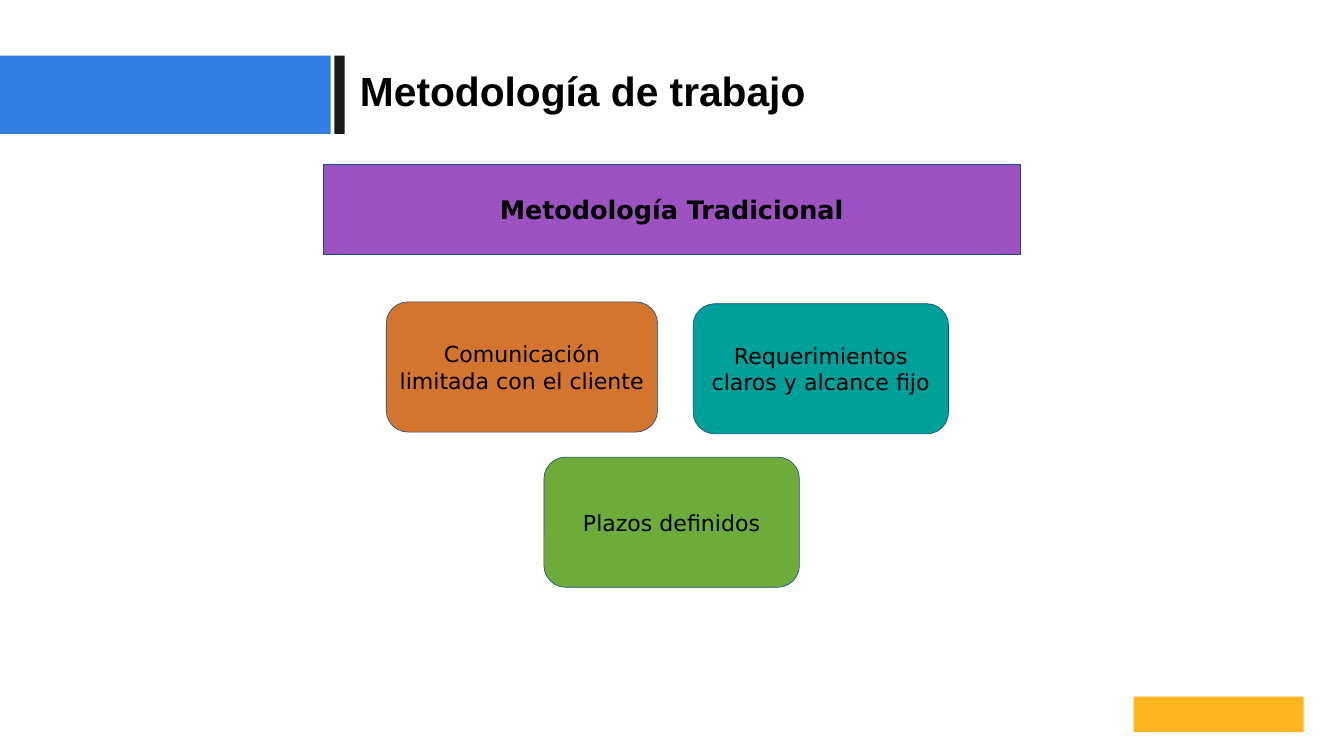
"""Build the slide on the traditional work methodology."""
import pptx
import pptx.util
from pptx.dml.color import RGBColor
from pptx.enum.shapes import MSO_SHAPE
from pptx.enum.text import MSO_ANCHOR, MSO_AUTO_SIZE, PP_ALIGN

Inches = pptx.util.Inches
Pt = pptx.util.Pt

SLIDE_SIZE = (21.99, 12.37)
TITLE = "Metodología de trabajo"
TITLE_BOX = (5.89, 1.07, 13.22, 0.81)
TITLE_FONT = {"name": "Arial", "size": Pt(48), "bold": True}
HEADING_FONT = {"name": "DejaVu Sans", "size": Pt(30), "bold": True}
CARD_FONT = {"name": "DejaVu Sans", "size": Pt(26), "bold": False}
BLACK = "000000"
OUTLINE = "1F497D"
CARD_HEIGHT = 2.13

DECORATIONS = [
    ((0, 0.91, 5.41, 1.28), "317DE2"),
    ((5.47, 0.91, 0.17, 1.28), "1A1A1A"),
    ((18.55, 11.4, 2.78, 0.58), "FEB620"),
]
HEADING = ("Metodología Tradicional", (5.29, 2.69, 11.4, 1.47), "9C52C1")
CARDS = [
    ("Comunicación limitada con el cliente", (6.32, 4.94, 4.44, CARD_HEIGHT), "D3752E"),
    ("Requerimientos claros y alcance fijo", (11.34, 4.97, 4.18, CARD_HEIGHT), "009F9A"),
    ("Plazos definidos", (8.9, 7.48, 4.18, CARD_HEIGHT), "6DAC3B"),
]


def color(value):
    return RGBColor.from_string(value)


def set_values(target, values):
    for name, value in values.items():
        setattr(target, name, value)


def write_text(shape, text, font, alignment, anchor, margin):
    frame = shape.text_frame
    frame.text = text
    set_values(frame, {
        "word_wrap": True,
        "auto_size": MSO_AUTO_SIZE.NONE,
        "vertical_anchor": anchor,
        "margin_left": Inches(margin),
        "margin_right": Inches(margin),
        "margin_top": Inches(margin),
        "margin_bottom": Inches(margin),
    })
    paragraph = frame.paragraphs[0]
    paragraph.alignment = alignment
    run_font = paragraph.runs[0].font
    set_values(run_font, font)
    run_font.color.rgb = color(BLACK)


def add_block(slide, kind, box, fill):
    shape = slide.shapes.add_shape(kind, *map(Inches, box))
    shape.shadow.inherit = False
    shape.fill.solid()
    shape.fill.fore_color.rgb = color(fill)
    shape.line.fill.background()
    return shape


def add_label(slide, kind, text, box, fill, font):
    shape = add_block(slide, kind, box, fill)
    shape.line.color.rgb = color(OUTLINE)
    shape.line.width = Pt(0.75)
    write_text(shape, text, font, PP_ALIGN.CENTER, MSO_ANCHOR.MIDDLE, 0.1)


def main():
    presentation = pptx.Presentation()
    presentation.slide_width, presentation.slide_height = map(Inches, SLIDE_SIZE)
    slide = presentation.slides.add_slide(presentation.slide_layouts[5])

    title = slide.shapes.title
    set_values(title, dict(zip(("left", "top", "width", "height"), map(Inches, TITLE_BOX))))
    write_text(title, TITLE, TITLE_FONT, PP_ALIGN.LEFT, MSO_ANCHOR.TOP, 0)

    for box, fill in DECORATIONS:
        add_block(slide, MSO_SHAPE.RECTANGLE, box, fill)
    add_label(slide, MSO_SHAPE.RECTANGLE, *HEADING, HEADING_FONT)
    for card in CARDS:
        add_label(slide, MSO_SHAPE.ROUNDED_RECTANGLE, *card, CARD_FONT)

    presentation.save("out.pptx")


if __name__ == "__main__":
    main()
